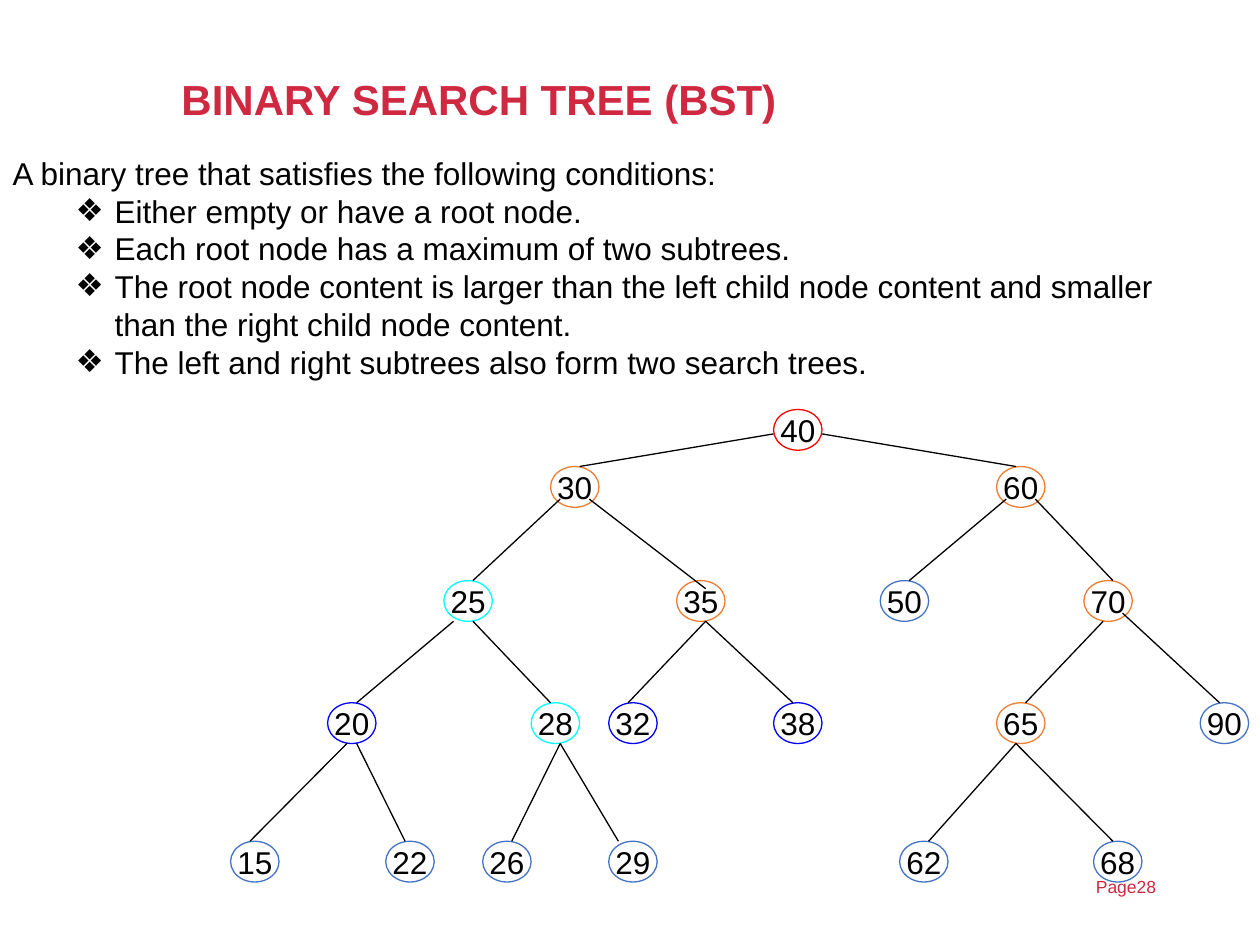
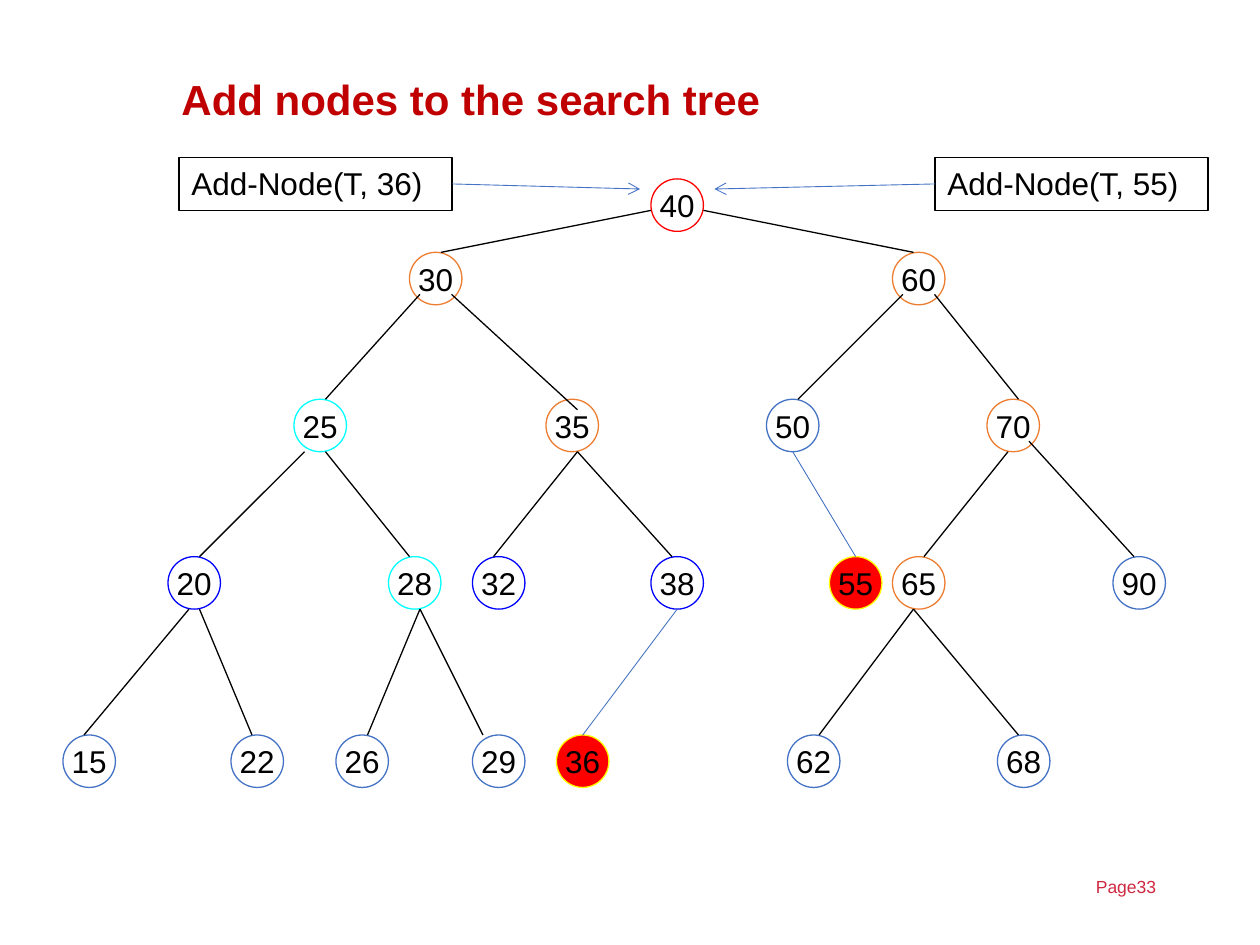
from typing import NamedTuple

from pptx import Presentation
from pptx.dml.color import RGBColor
from pptx.enum.shapes import MSO_CONNECTOR, MSO_SHAPE
from pptx.enum.text import MSO_ANCHOR, MSO_AUTO_SIZE, PP_ALIGN
from pptx.oxml.ns import qn
from pptx.util import Inches, Pt

LEFT, CENTER = PP_ALIGN.LEFT, PP_ALIGN.CENTER
TOP, MIDDLE = MSO_ANCHOR.TOP, MSO_ANCHOR.MIDDLE
NO_AUTOFIT = MSO_AUTO_SIZE.NONE
STRAIGHT = MSO_CONNECTOR.STRAIGHT
OVAL, RECTANGLE = MSO_SHAPE.OVAL, MSO_SHAPE.RECTANGLE
LEFT_SIDE, RIGHT_SIDE = 1, 3

FONT = "Arial"
BLACK, WHITE = "000000", "FFFFFF"
CRIMSON, DARK_RED = "CF2941", "C00000"
RED, ORANGE, CYAN = "FF0000", "ED7D31", "00FFFF"
NAVY, STEEL, YELLOW = "0000FF", "4472C4", "FFFF00"

# Tree geometry is given in grid units; a node is NODE_SIZE units wide and high.
NODE_SIZE = 5
ROW_TOPS = (17, 24, 38, 53, 70)
FIRST_COL, GRID_WIDTH = 6, 105
GRID_HEIGHT = ROW_TOPS[-1] + NODE_SIZE - ROW_TOPS[0]


class Node(NamedTuple):
    key: int
    col: float
    row: int
    line: str
    fill: str | None = None


class Edge(NamedTuple):
    """Line between two nodes; start and end are offsets inside the nodes."""
    parent: int
    child: int
    start: tuple[float, float]
    end: tuple[float, float]
    color: str = BLACK
    weight: float = 0.75


class Frame(NamedTuple):
    left: float
    top: float
    width: float
    height: float

    def point(self, col: float, row: float) -> tuple[float, float]:
        """Convert grid units to inches on the slide."""
        return (self.left + (col - FIRST_COL) * self.width / GRID_WIDTH,
                self.top + (row - ROW_TOPS[0]) * self.height / GRID_HEIGHT)


class Call(NamedTuple):
    text: str
    left: float
    side: int
    target: tuple[float, float]


NODES = [
    Node(40, 62, 0, RED),
    Node(30, 39, 1, ORANGE), Node(60, 85, 1, ORANGE),
    Node(25, 28, 2, CYAN), Node(35, 52, 2, ORANGE),
    Node(50, 73, 2, STEEL), Node(70, 94, 2, ORANGE),
    Node(20, 16, 3, NAVY), Node(28, 37, 3, CYAN), Node(32, 45, 3, NAVY),
    Node(38, 62, 3, NAVY), Node(65, 85, 3, ORANGE), Node(90, 106, 3, STEEL),
    Node(15, 6, 4, STEEL), Node(22, 22, 4, STEEL), Node(26, 32, 4, STEEL),
    Node(29, 45, 4, STEEL), Node(62, 75, 4, STEEL), Node(68, 95, 4, STEEL),
]
EDGES = [
    Edge(40, 30, (0, 3), (3, 0)), Edge(40, 60, (5, 3), (2, 0)),
    Edge(30, 25, (1, 4), (3, 0)), Edge(30, 35, (4, 4), (3, 1)),
    Edge(60, 50, (1, 4), (3, 0)), Edge(60, 70, (4, 4), (3, 0)),
    Edge(25, 20, (1, 5), (3, 0)), Edge(25, 28, (3, 5), (2, 0)),
    Edge(35, 32, (3, 5), (2, 0)), Edge(35, 38, (3, 5), (2, 0)),
    Edge(70, 65, (2, 5), (3, 0)), Edge(70, 90, (4, 4), (2, 0)),
    Edge(20, 15, (2, 5), (2, 0)), Edge(20, 22, (3, 5), (2, 0)),
    Edge(28, 26, (3, 5), (3, 0)), Edge(28, 29, (3, 5), (1, 0)),
    Edge(65, 62, (2, 5), (3, 0)), Edge(65, 68, (2, 5), (2, 0)),
]
ADDED_NODES = [Node(36, 53, 4, YELLOW, RED), Node(55, 79, 3, YELLOW, RED)]
ADDED_EDGES = [Edge(38, 36, (2.5, 5), (2.5, 0), STEEL, 0.5),
               Edge(50, 55, (2.5, 5), (2.5, 0), STEEL, 0.5)]
CALLS = [Call("Add-Node(T, 36)", 1.42, RIGHT_SIDE, (5.08, 1.5)),
         Call("Add-Node(T, 55)", 7.42, LEFT_SIDE, (5.67, 1.5))]

INTRO = "A binary tree that satisfies the following conditions:"
CONDITIONS = [
    "Either empty or have a root node.",
    "Each root node has a maximum of two subtrees.",
    "The root node content is larger than the left child node content "
    "and smaller than the right child node content.",
    "The left and right subtrees also form two search trees.",
]


def rgb(color: str) -> RGBColor:
    return RGBColor.from_string(color)


def write(p, text: str, *, size: float = 18, color: str = BLACK,
          bold: bool = False, align=LEFT, spacing: float = 1.0) -> None:
    p.alignment = align
    p.line_spacing = spacing
    p.space_before = p.space_after = Pt(0)
    r = p.add_run()
    r.text = text
    r.font.name, r.font.size, r.font.bold = FONT, Pt(size), bold
    r.font.color.rgb = rgb(color)


def place(sp, left: float, top: float, width: float, height: float) -> None:
    sp.left, sp.top = Inches(left), Inches(top)
    sp.width, sp.height = Inches(width), Inches(height)


def indent(p, margin: float, first: float, bullet: str | None = None) -> None:
    pPr = p._p.get_or_add_pPr()
    pPr.set("marL", str(Inches(margin)))
    pPr.set("indent", str(Inches(first)))
    if bullet:
        pPr.makeelement(qn("a:buFont"))
        font = pPr.makeelement(qn("a:buFont"), {"typeface": FONT})
        char = pPr.makeelement(qn("a:buChar"), {"char": bullet})
        pPr.extend([font, char])
    else:
        pPr.append(pPr.makeelement(qn("a:buNone")))


def add_slide(prs, layout: int, title: str, color: str, page: int):
    """Add a slide with the shared title style and page label."""
    s = prs.slides.add_slide(prs.slide_layouts[layout])
    sp = s.shapes.title
    place(sp, 1.34, 0.4, 7.98, 0.82)
    tf = sp.text_frame
    tf.vertical_anchor, tf.auto_size = MIDDLE, NO_AUTOFIT
    write(tf.paragraphs[0], title, size=24, color=color, bold=True, spacing=0.9)
    label = s.shapes.add_textbox(Inches(8.6), Inches(6.9), Inches(1.2), Inches(0.28))
    label.text_frame.word_wrap = True
    write(label.text_frame.paragraphs[0], f"Page{page}", size=10, color=CRIMSON)
    return s


def add_box(s, kind, frame: Frame, text: str, *, line: str, weight: float,
            fill: str | None = None, align=CENTER, anchor=MIDDLE, wrap: bool = False):
    sp = s.shapes.add_shape(kind, *(Inches(v) for v in frame))
    sp.shadow.inherit = False
    if fill:
        sp.fill.solid()
        sp.fill.fore_color.rgb = rgb(fill)
    else:
        sp.fill.background()
    sp.line.color.rgb, sp.line.width = rgb(line), Pt(weight)
    tf = sp.text_frame
    tf.word_wrap, tf.vertical_anchor = wrap, anchor
    write(tf.paragraphs[0], text, align=align)
    return sp


def add_line(s, start: tuple[float, float], end: tuple[float, float],
             color: str, weight: float, arrow: bool = False):
    line = s.shapes.add_connector(STRAIGHT, *(Inches(v) for v in (*start, *end)))
    line.line.color.rgb, line.line.width = rgb(color), Pt(weight)
    spPr = line._element.spPr
    spPr.append(spPr.makeelement(qn("a:effectLst")))
    if arrow:
        ln = line.line._get_or_add_ln()
        ln.append(ln.makeelement(qn("a:tailEnd"), {"type": "arrow"}))
    return line


def draw_tree(s, frame: Frame, nodes: list[Node], edges: list[Edge]) -> None:
    corners = {n.key: (n.col, ROW_TOPS[n.row]) for n in nodes}
    width = frame.width * NODE_SIZE / GRID_WIDTH
    height = frame.height * NODE_SIZE / GRID_HEIGHT
    for n in nodes:
        box = Frame(*frame.point(*corners[n.key]), width, height)
        add_box(s, OVAL, box, str(n.key), line=n.line, weight=0.75, fill=n.fill)
    for e in edges:
        (x1, y1), (x2, y2) = corners[e.parent], corners[e.child]
        add_line(s, frame.point(x1 + e.start[0], y1 + e.start[1]),
                 frame.point(x2 + e.end[0], y2 + e.end[1]), e.color, e.weight)


def build_definition(prs) -> None:
    s = add_slide(prs, 1, "BINARY SEARCH TREE (BST)", CRIMSON, 28)
    body = s.placeholders[1]
    place(body, 0, 1.17, 9.75, 1.92)
    tf = body.text_frame
    tf.auto_size, tf.vertical_anchor = NO_AUTOFIT, TOP
    write(tf.paragraphs[0], INTRO)
    indent(tf.paragraphs[0], 0, 0)
    for condition in CONDITIONS:
        p = tf.add_paragraph()
        p.level = 1
        write(p, condition)
        indent(p, 0.81, -0.31, "❖")
    draw_tree(s, Frame(1.83, 3.25, 8.08, 3.75), NODES, EDGES)


def build_insertion(prs) -> None:
    s = add_slide(prs, 5, "Add nodes to the search tree", DARK_RED, 33)
    draw_tree(s, Frame(0.5, 1.42, 8.75, 4.83),
              NODES + ADDED_NODES, EDGES + ADDED_EDGES)
    for call in CALLS:
        box = add_box(s, RECTANGLE, Frame(call.left, 1.25, 2.17, 0.42), call.text,
                      line=BLACK, weight=1, fill=WHITE, align=LEFT, anchor=TOP,
                      wrap=True)
        arrow = add_line(s, (call.left, 1.46), call.target, STEEL, 0.5, arrow=True)
        arrow.begin_connect(box, call.side)


def main() -> None:
    prs = Presentation()
    prs.slide_width, prs.slide_height = Inches(10), Inches(7.5)
    build_definition(prs)
    build_insertion(prs)
    prs.save("out.pptx")


if __name__ == "__main__":
    main()
